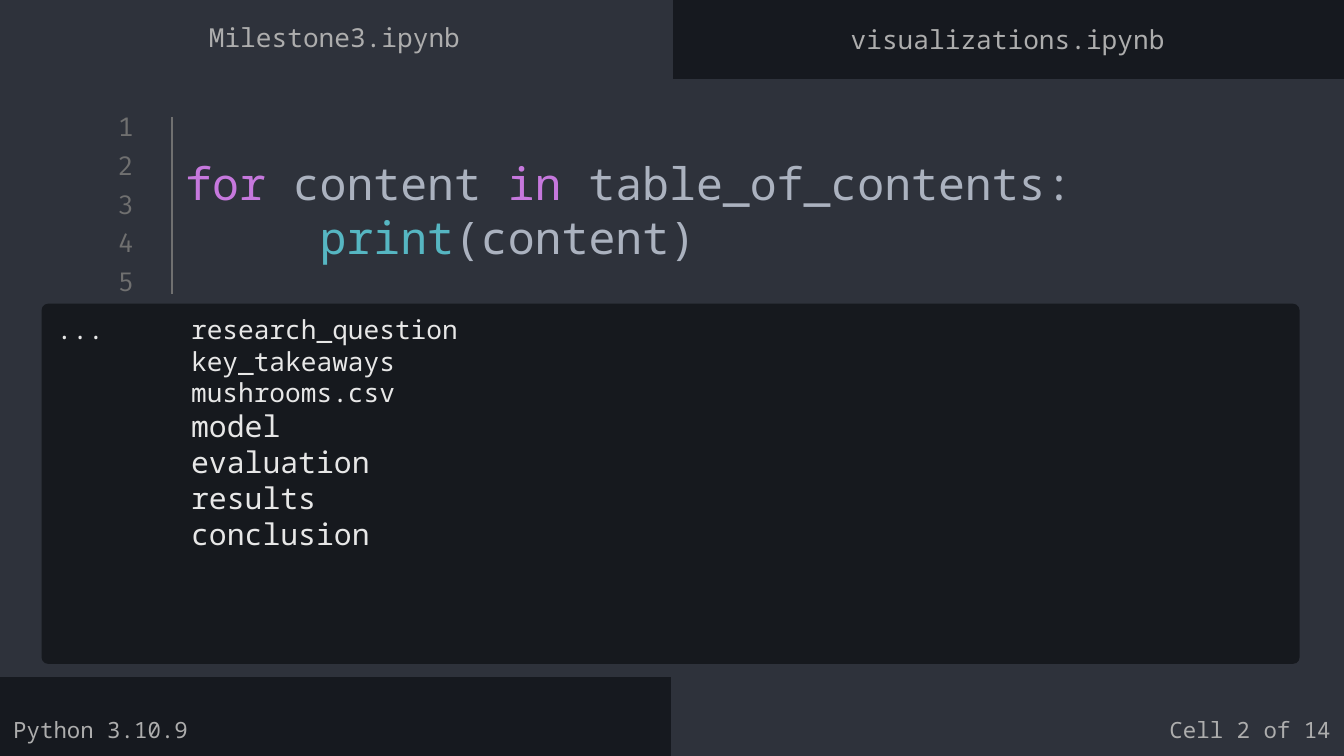
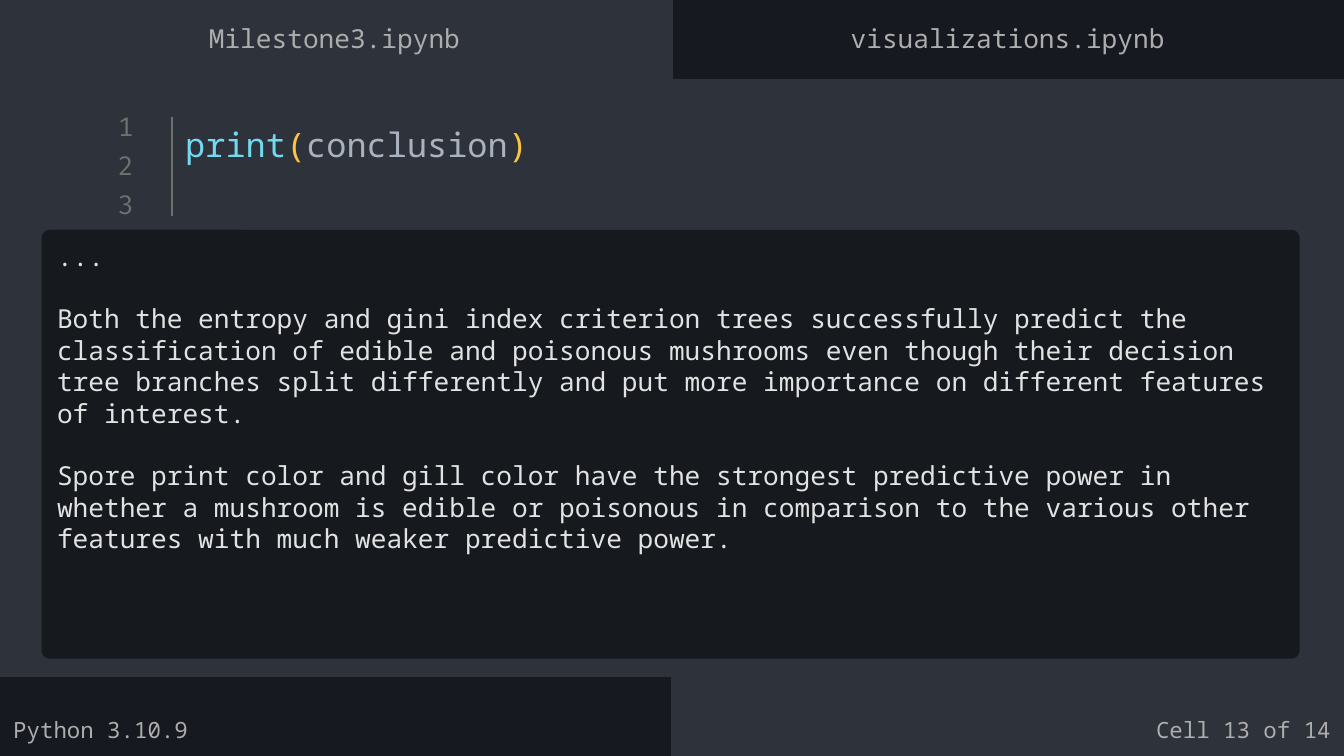
from lxml import etree
from pptx import Presentation
from pptx.dml import color
from pptx.enum import shapes, text
from pptx.oxml import ns
from pptx.util import Inches, Pt

# Shared look
MONO = "Noto Sans Mono"
NUMBER_FONT = "Fira Code"
BACKDROP = "16191F"
EDITOR = "2E323B"
PANEL = "16191E"
GREY = "707070"
LABEL = "ADADAD"
CODE = "ABB2BF"
KEYWORD = "C678DD"
BRACKET = "FCC642"
BLANK_LINE = 16.83  # height of one 14 pt line, in points
LINE_BREAK = ("\n", CODE)


def rgb(value):
    return color.RGBColor.from_string(value)


def apply(target, values):
    for name, value in values.items():
        setattr(target, name, value)


def add_tab_stop(paragraph):
    """Put one left tab stop an inch into the text."""
    stops = etree.SubElement(paragraph._p.get_or_add_pPr(), ns.qn("a:tabLst"))
    etree.SubElement(stops, ns.qn("a:tab"), pos=str(Inches(1)), algn="l")


def write(shape, paragraphs, size, font=MONO, align=text.PP_ALIGN.LEFT,
          anchor=text.MSO_ANCHOR.TOP, inset=(0.1, 0.1)):
    """Fill a shape; each paragraph is (runs, format values), each run (words, colour[, size])."""
    frame = shape.text_frame
    side, top = (Inches(value) for value in inset)
    apply(frame, {"word_wrap": True, "auto_size": text.MSO_AUTO_SIZE.NONE,
                  "vertical_anchor": anchor, "margin_left": side,
                  "margin_right": side, "margin_top": top, "margin_bottom": top})
    for index, (runs, values) in enumerate(paragraphs):
        paragraph = frame.add_paragraph() if index else frame.paragraphs[0]
        apply(paragraph, {"alignment": align, **values})
        if any("\t" in run[0] for run in runs):
            add_tab_stop(paragraph)
        for words, ink, *own_size in runs:
            if words == "\n":
                paragraph.add_line_break()
                continue
            run = paragraph.add_run()
            run.text = words
            apply(run.font, {"name": font, "size": Pt(own_size[0] if own_size else size)})
            run.font.color.rgb = rgb(ink)


def add_text(slide, box, paragraphs, size, **options):
    shape = slide.shapes.add_textbox(*map(Inches, box))
    write(shape, paragraphs, size, **options)


def add_label(slide, box, words, size=14, ink=LABEL, **options):
    add_text(slide, box, [([(words, ink)], {})], size, **options)


def add_block(slide, box, fill, kind=shapes.MSO_SHAPE.RECTANGLE, outlined=True):
    shape = slide.shapes.add_shape(kind, *map(Inches, box))
    shape.shadow.inherit = False
    shape.fill.solid()
    shape.fill.fore_color.rgb = rgb(fill)
    if outlined:
        shape.line.color.rgb = rgb(fill)
        shape.line.width = Pt(0.75)
    else:
        shape.line.fill.background()
    return shape


def add_gutter(slide, bottom):
    """Vertical rule between the line numbers and the code."""
    rule = slide.shapes.add_connector(
        shapes.MSO_CONNECTOR.STRAIGHT, *map(Inches, (1.28, 0.87, 1.28, bottom)))
    rule.line.color.rgb = rgb(GREY)
    rule.line.width = Pt(0.75)
    etree.SubElement(rule._element.spPr, ns.qn("a:effectLst"))


def add_output(slide, top, height, paragraphs):
    panel = add_block(slide, (0.31, top, 9.36, height), PANEL,
                      shapes.MSO_SHAPE.ROUNDED_RECTANGLE, outlined=False)
    panel.adjustments[0] = 0.018
    write(panel, paragraphs, 14, inset=(0.1, 0.06))


def add_notebook(presentation, line_count, gutter_bottom, tab_heights, cell):
    slide = presentation.slides.add_slide(presentation.slide_layouts[6])
    slide.background.fill.solid()
    slide.background.fill.fore_color.rgb = rgb(BACKDROP)

    # Editor area with the open tab and the status corner
    for box in ((0, 0.59, 10, 4.44), (0, 0, 5, 0.65), (5, 4.98, 5, 0.65)):
        add_block(slide, box, EDITOR)

    # Line numbers
    for index in range(line_count):
        top = 0.82 + index * 1.15 / 4
        add_label(slide, (0.78, top, 0.47, 0.24), str(index + 1), ink=GREY,
                  font=NUMBER_FONT, anchor=text.MSO_ANCHOR.MIDDLE)
    add_gutter(slide, gutter_bottom)

    # Tab names and status bar
    names = ("Milestone3.ipynb", "visualizations.ipynb")
    for left, name, height in zip((-0.01, 5), names, tab_heights):
        add_label(slide, (left, 0, 5, height), name, align=text.PP_ALIGN.CENTER,
                  anchor=text.MSO_ANCHOR.MIDDLE)
    add_label(slide, (0, 5.23, 2.15, 0.39), "Python 3.10.9", 12)
    add_label(slide, (8.31, 5.23, 1.69, 0.39), f"Cell {cell} of 14", 12,
              align=text.PP_ALIGN.RIGHT)
    return slide


def add_contents_slide(presentation):
    slide = add_notebook(presentation, 5, 2.19, (0.55, 0.58), 2)
    loop = [("for", KEYWORD), (" content ", CODE), ("in", KEYWORD),
            (" table_of_contents:", CODE), LINE_BREAK,
            ("\t", CODE), ("print", "56B6C2"), ("(content)", CODE)]
    add_text(slide, (1.28, 1.06, 8.22, 0.94), [(loop, {})], 24)

    ink = "E7E7E7"
    entries = [("...\tresearch_question", 14), ("\tkey_takeaways", 14),
               ("\tmushrooms.csv", 14), ("\tmodel", 16), ("\tevaluation", 16),
               ("\tresults", 16), ("\tconclusion", 16)]
    add_output(slide, 2.26, 2.68,
               [([(words, ink, size)], {}) for words, size in entries])


def add_conclusion_slide(presentation):
    slide = add_notebook(presentation, 3, 1.61, (0.56, 0.56), 13)
    call = [("print", "72D9F0"), ("(", BRACKET), ("conclusion", CODE), (")", BRACKET)]
    add_text(slide, (1.28, 0.87, 5.01, 0.4), [(call, {})], 18, inset=(0.1, 0.05))

    ink = "E2E2E2"
    findings = [
        "Both the entropy and gini index criterion trees successfully predict the "
        "classification of edible and poisonous mushrooms even though their decision "
        "tree branches split differently and put more importance on different features "
        "of interest.",
        "Spore print color and gill color have the strongest predictive power in "
        "whether a mushroom is edible or poisonous in comparison to the various other "
        "features with much weaker predictive power.",
    ]
    gap = {"space_before": Pt(BLANK_LINE)}
    add_output(slide, 1.71, 3.19,
               [([("...", ink)], {})] + [([(words, ink)], gap) for words in findings])


def main():
    presentation = Presentation()
    width = Inches(10)
    apply(presentation, {"slide_width": width, "slide_height": width * 9 // 16})
    add_contents_slide(presentation)
    add_conclusion_slide(presentation)
    presentation.save("out.pptx")


if __name__ == "__main__":
    main()
